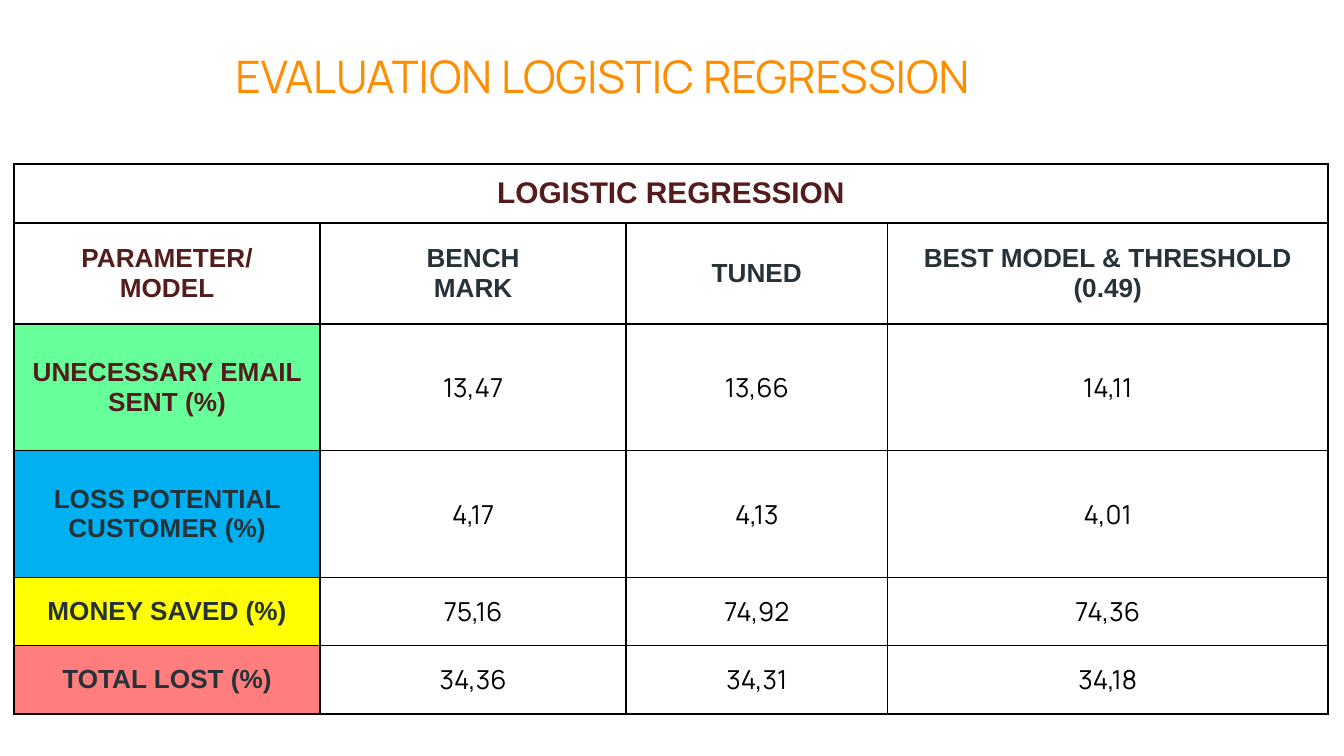
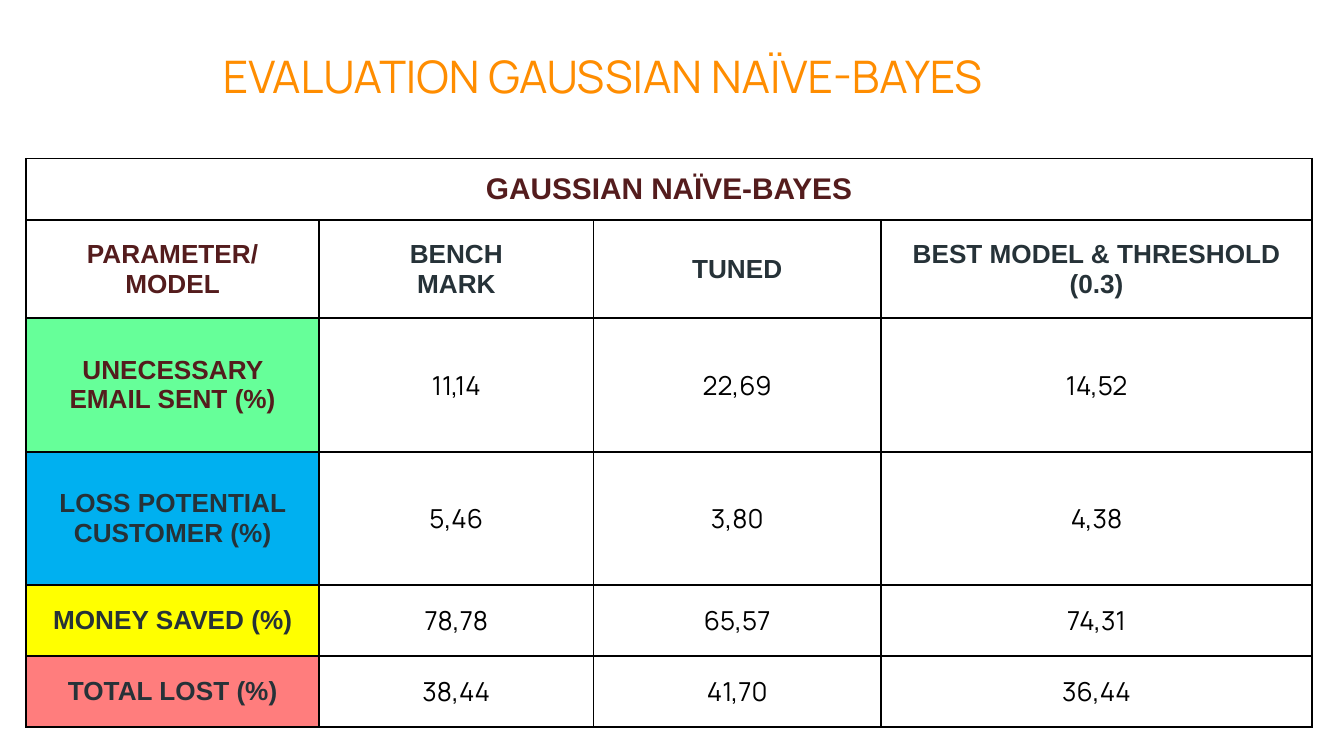
from lxml import etree
from pptx import Presentation
from pptx.dml.color import RGBColor
from pptx.enum.text import MSO_ANCHOR, MSO_AUTO_SIZE, PP_ALIGN
from pptx.oxml.ns import qn
from pptx.util import Pt

MIDDLE, TOP = MSO_ANCHOR.MIDDLE, MSO_ANCHOR.TOP
CENTER = PP_ALIGN.CENTER
NO_FIT = MSO_AUTO_SIZE.NONE

ORANGE, MAROON, SLATE, BLACK = "FF8D00", "541C1D", "263238", "000000"
HEAD, BODY = "Arial", "Manrope"
TITLE_ONLY = 5

# Row label, label colour, label fill
METRICS = [
    ("UNECESSARY EMAIL SENT (%)", MAROON, "66FF99"),
    ("LOSS POTENTIAL CUSTOMER (%)", SLATE, "00B0F0"),
    ("MONEY SAVED (%)", SLATE, "FFFF00"),
    ("TOTAL LOST (%)", SLATE, "FF7D7D"),
]

# Sizes in points
MODELS = [
    dict(name="LOGISTIC REGRESSION", cutoff="0.49", left=7.5, top=88,
         cols=[164, 164, 140, 236], rows=[31.5, 54, 68, 68, 36.5, 36.5],
         values=[["13,47", "13,66", "14,11"], ["4,17", "4,13", "4,01"],
                 ["75,16", "74,92", "74,36"], ["34,36", "34,31", "34,18"]]),
    dict(name="GAUSSIAN NAÏVE-BAYES", cutoff="0.3", left=14, top=85,
         cols=[157, 147, 154, 231], rows=[33, 52.5, 71.5, 71.5, 38, 38],
         values=[["11,14", "22,69", "14,52"], ["5,46", "3,80", "4,38"],
                 ["78,78", "65,57", "74,31"], ["38,44", "41,70", "36,44"]]),
]


def style(frame, font, size, color, bold=False):
    for para in frame.paragraphs:
        para.alignment = CENTER
        para.font.name = font
        para.font.size = Pt(size)
        para.font.bold = bold
        para.font.color.rgb = RGBColor.from_string(color)


def fill_cell(cell, text, font, size, color, bold, back=None):
    """Write a centred cell with thin black borders and an optional fill."""
    cell.text = text
    cell.vertical_anchor = MIDDLE
    cell.margin_left = cell.margin_right = Pt(7.2)
    cell.margin_top = cell.margin_bottom = Pt(5)
    style(cell.text_frame, font, size, color, bold)
    props = cell._tc.get_or_add_tcPr()
    for side in ("a:lnL", "a:lnR", "a:lnT", "a:lnB"):
        line = etree.SubElement(props, qn(side), w=str(Pt(1)))
        solid = etree.SubElement(line, qn("a:solidFill"))
        etree.SubElement(solid, qn("a:srgbClr"), val=BLACK)
    if back:
        cell.fill.solid()
        cell.fill.fore_color.rgb = RGBColor.from_string(back)
    else:
        cell.fill.background()


deck = Presentation()
deck.slide_width, deck.slide_height = Pt(720), Pt(405)

for model in MODELS:
    slide = deck.slides.add_slide(deck.slide_layouts[TITLE_ONLY])

    title = slide.shapes.title
    title.left, title.top = Pt(34), Pt(18.75)
    title.width, title.height = Pt(577.5), Pt(42)
    frame = title.text_frame
    frame.text = "EVALUATION " + model["name"]
    frame.auto_size = NO_FIT
    frame.vertical_anchor = TOP
    frame.margin_left = frame.margin_right = Pt(7.2)
    frame.margin_top = frame.margin_bottom = Pt(7.2)
    style(frame, BODY, 24, ORANGE)

    cols, rows = model["cols"], model["rows"]
    table = slide.shapes.add_table(
        len(rows), len(cols), Pt(model["left"]), Pt(model["top"]),
        Pt(sum(cols)), Pt(sum(rows))).table
    table.first_row = table.horz_banding = False
    for col, width in zip(table.columns, cols):
        col.width = Pt(width)
    for row, height in zip(table.rows, rows):
        row.height = Pt(height)

    table.cell(0, 0).merge(table.cell(0, len(cols) - 1))
    for c in range(len(cols)):
        text = "" if c else model["name"]
        fill_cell(table.cell(0, c), text, HEAD, 16, MAROON, True)

    heads = ["PARAMETER/\nMODEL", "BENCH\nMARK", "TUNED",
             f"BEST MODEL & THRESHOLD ({model['cutoff']})"]
    for c, text in enumerate(heads):
        color = SLATE if c else MAROON
        fill_cell(table.cell(1, c), text, HEAD, 14, color, True)

    for r, (metric, values) in enumerate(zip(METRICS, model["values"]), 2):
        label, color, back = metric
        fill_cell(table.cell(r, 0), label, HEAD, 14, color, True, back)
        for c, value in enumerate(values, 1):
            fill_cell(table.cell(r, c), value, BODY, 14, BLACK, False)

deck.save("out.pptx")
